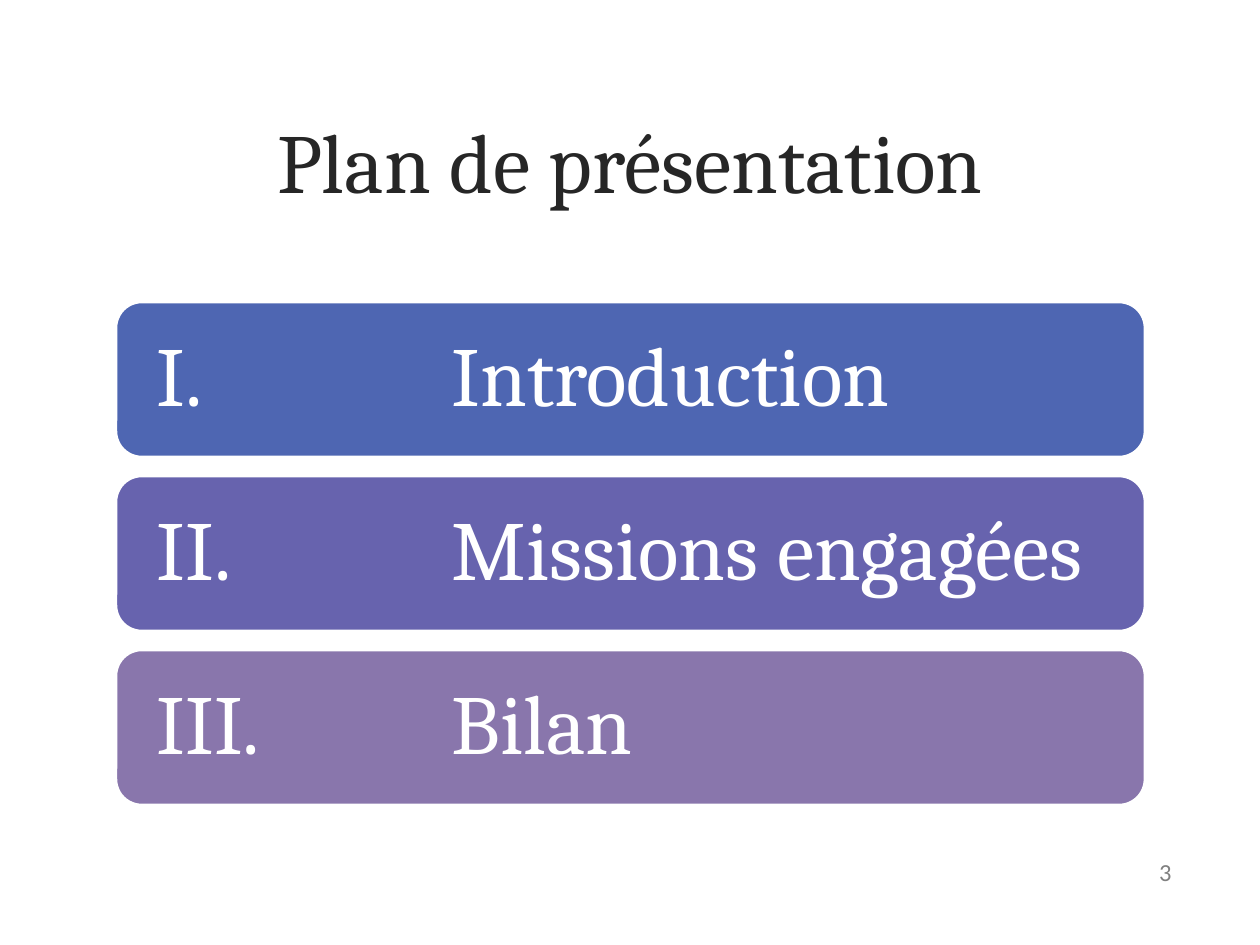
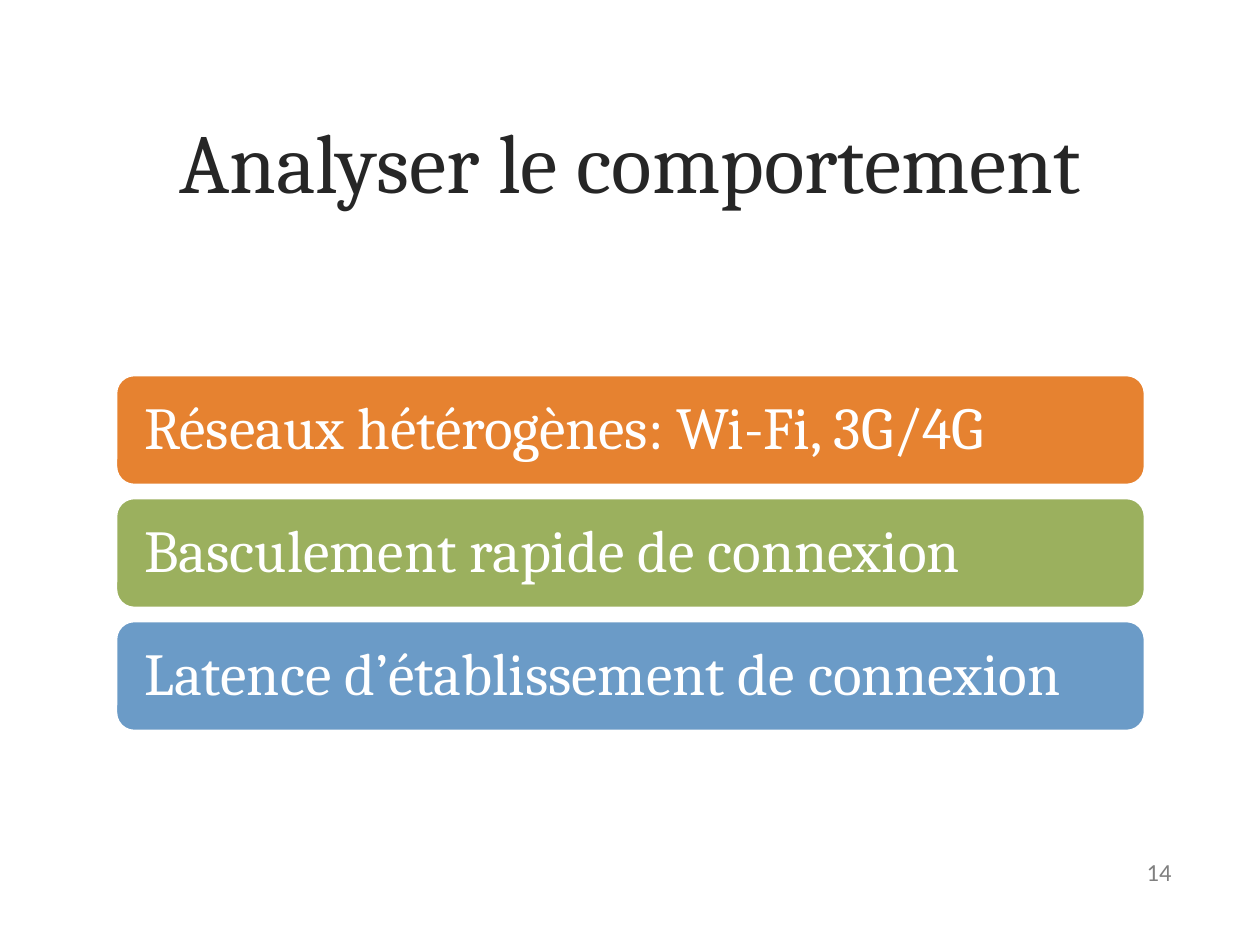
"""Build two slides of stacked rounded bars: a plan and a behaviour analysis."""
from lxml.etree import SubElement
from pptx import Presentation
from pptx.dml.color import RGBColor
from pptx.enum.shapes import MSO_SHAPE as Shape
from pptx.enum.text import MSO_ANCHOR as Anchor, MSO_AUTO_SIZE as AutoSize, PP_ALIGN as Align
from pptx.oxml.ns import qn
from pptx.util import Emu, Pt

COLORS = {
    "ink": "262626", "grey": "808080", "white": "FFFFFF",
    "blue": "4E66B2", "violet": "6763AE", "mauve": "8976AC",
    "orange": "E68230", "green": "9BB05E", "sky": "6B9BC7",
}
BAR_LEFT, BAR_WIDTH = 116, 1029
TAB_STOP = 295


def px(length):
    """Turn pixels, 126 to the inch, into EMU."""
    return Emu(round(length * 914400 / 126))


def write(box, text, size, color, font="Cambria", align=Align.LEFT, inset=None, spacing=None):
    """Put one formatted, vertically centred paragraph into a shape."""
    frame = box.text_frame
    frame.word_wrap = True
    frame.auto_size = AutoSize.NONE
    frame.vertical_anchor = Anchor.MIDDLE
    if inset is not None:
        frame.margin_left = frame.margin_right = px(inset)
        frame.margin_top = frame.margin_bottom = 0
    para = frame.paragraphs[0]
    para.alignment = align
    if spacing:
        para.line_spacing = spacing
    if "\t" in text:
        tabs = SubElement(para._p.get_or_add_pPr(), qn("a:tabLst"))
        SubElement(tabs, qn("a:tab"), pos=str(px(TAB_STOP)), algn="l")
    span = para.add_run()
    span.text = text
    span.font.name = font
    span.font.size = Pt(size)
    span.font.color.rgb = RGBColor.from_string(COLORS[color])


slides = [
    {
        "title": "Plan de présentation", "number": "3",
        "top": 302, "height": 155, "pitch": 174, "inset": 33, "size": 48,
        "bars": [
            ("I.\tIntroduction", "blue"),
            ("II.\tMissions engagées", "violet"),
            ("III.\tBilan", "mauve"),
        ],
    },
    {
        "title": "Analyser le comportement", "number": "14",
        "top": 375, "height": 110, "pitch": 123, "inset": 23, "size": 34,
        "bars": [
            ("Réseaux hétérogènes: Wi-Fi, 3G/4G", "orange"),
            ("Basculement rapide de connexion", "green"),
            ("Latence d’établissement de connexion", "sky"),
        ],
    },
]

deck = Presentation()
deck.slide_width, deck.slide_height = px(1260), px(945)

for content in slides:
    page = deck.slides.add_slide(deck.slide_layouts[5])
    title = page.shapes.title
    title.left, title.top, title.width, title.height = px(76), px(60), px(1108), px(199)
    write(title, content["title"], 48, "ink", align=Align.CENTER)

    for row, (label, color) in enumerate(content["bars"]):
        top = content["top"] + row * content["pitch"]
        bar = page.shapes.add_shape(
            Shape.ROUNDED_RECTANGLE, px(BAR_LEFT), px(top), px(BAR_WIDTH), px(content["height"]))
        bar.shadow.inherit = False
        bar.fill.solid()
        bar.fill.fore_color.rgb = RGBColor.from_string(COLORS[color])
        bar.line.color.rgb = RGBColor.from_string(COLORS["white"])
        bar.line.width = Pt(1.5)
        write(bar, label, content["size"], "white", inset=content["inset"], spacing=0.9)

    number = page.shapes.add_textbox(px(890), px(847), px(294), px(50))
    write(number, content["number"], 14, "grey", font="Calibri", align=Align.RIGHT)

deck.save("out.pptx")
